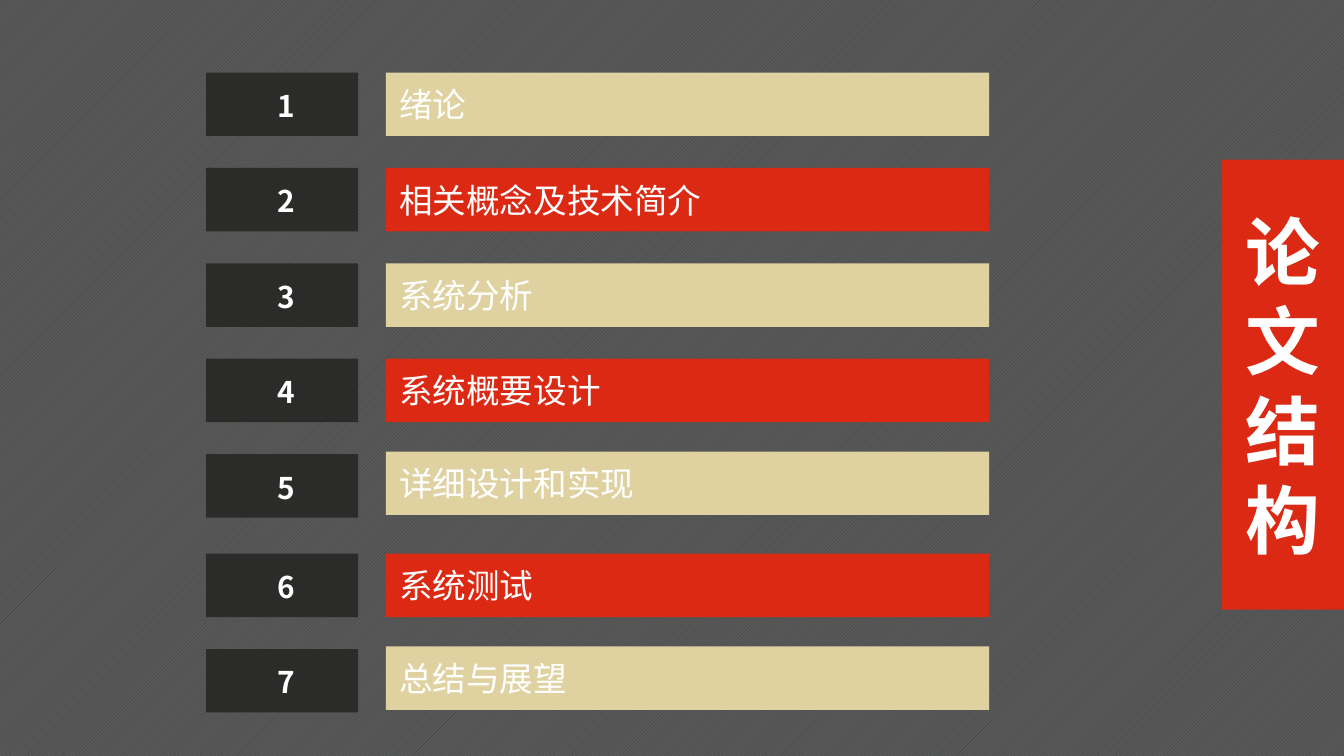
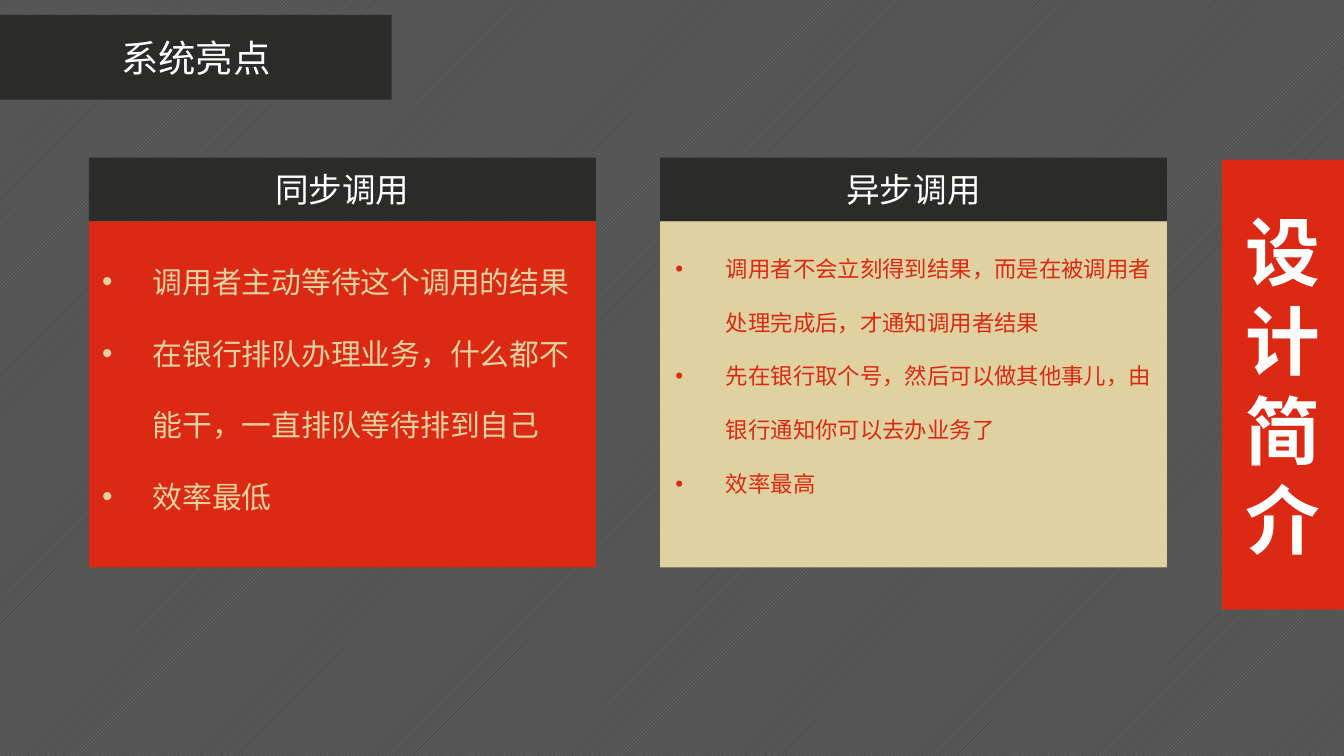
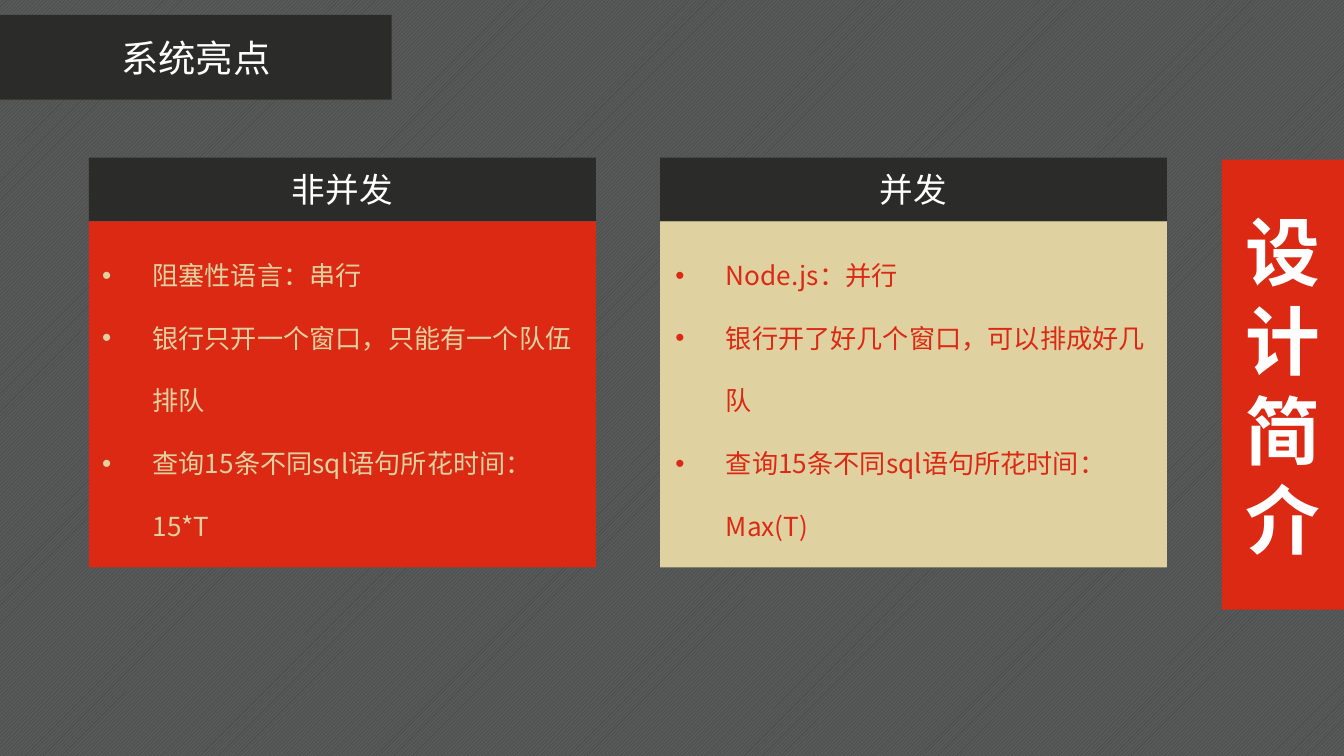
from dataclasses import dataclass

from lxml.etree import SubElement
from pptx import Presentation
from pptx.dml.color import RGBColor
from pptx.enum.dml import MSO_PATTERN
from pptx.enum.shapes import MSO_SHAPE
from pptx.enum.text import MSO_ANCHOR, MSO_AUTO_SIZE, PP_ALIGN
from pptx.oxml.ns import qn
from pptx.util import Pt

# Each chapter: title, upward shift of its bar against its number
CHAPTER_GROUPS = [
    [("绪论", 0), ("相关概念及技术简介", 0), ("系统分析", 0),
     ("系统概要设计", 0), ("详细设计和实现", 1.4)],
    [("系统测试", 0), ("总结与展望", 1.4)],
]
OUTLINE_TITLE = ["论", "文", "结", "构"]

DESIGN_TITLE = ["设计简介"]
HIGHLIGHTS = "系统亮点"
COMPARISONS = [
    [
        {"heading": "同步调用", "size": 16, "height": 162.7, "points": [
            "调用者主动等待这个调用的结果",
            "在银行排队办理业务，什么都不能干，一直排队等待排到自己",
            "效率最低"]},
        {"heading": "异步调用", "size": 12, "height": 152.6, "points": [
            "调用者不会立刻得到结果，而是在被调用者处理完成后，才通知调用者结果",
            "先在银行取个号，然后可以做其他事儿，由银行通知你可以去办业务了",
            "效率最高"]},
    ],
    [
        {"heading": "非并发", "size": 14, "height": 172, "points": [
            "阻塞性语言：串行",
            "银行只开一个窗口，只能有一个队伍排队",
            "查询15条不同sql语句所花时间：15*T"]},
        {"heading": "并发", "size": 14, "height": 172, "points": [
            "Node.js：并行",
            "银行开了好几个窗口，可以排成好几队",
            "查询15条不同sql语句所花时间：Max(T)"]},
    ],
]


@dataclass(frozen=True)
class Theme:
    font: str = "Noto Sans CJK SC"
    red: str = "DB2914"
    sand: str = "DFD2A0"
    dark: str = "2B2B29"
    white: str = "FFFFFF"
    hatch: str = "384340"
    ground: str = "595959"
    side_size: int = 40
    banner_size: int = 20
    label_size: int = 18
    number_size: int = 16


THEME = Theme()
WIDTH, HEIGHT = 720, 405
BOX_HEIGHT = 34
ROW_TOP, ROW_PITCH, GROUP_GAP = 38.9, 51.1, 2.2
NUMBER_LEFT, NUMBER_WIDTH = 110.4, 81.5
BAR_LEFT, BAR_WIDTH = 206.8, 323.2
CARD_LEFT, CARD_PITCH, CARD_WIDTH = 47.6, 306, 271.6
HEADING_TOP, BODY_TOP, BODY_HEIGHT = 84.4, 118.6, 185.4
BULLET_INDENT = 27


def add_bullet(paragraph):
    props = paragraph._p.get_or_add_pPr()
    props.set("marL", str(Pt(BULLET_INDENT)))
    props.set("indent", str(-Pt(BULLET_INDENT)))
    SubElement(props, qn("a:buFont"), typeface="Arial")
    SubElement(props, qn("a:buChar"), char="•")


def write(frame, lines, size, color, align=PP_ALIGN.LEFT, bold=False, bullets=False):
    frame.word_wrap = True
    for index, line in enumerate(lines):
        paragraph = frame.add_paragraph() if index else frame.paragraphs[0]
        paragraph.text = line
        paragraph.alignment = align
        if bullets:
            add_bullet(paragraph)
            paragraph.line_spacing = 2.0
        font = paragraph.font
        font.name, font.size, font.bold = THEME.font, Pt(size), bold
        font.color.rgb = RGBColor.from_string(color)
        defaults = paragraph._p.pPr.find(qn("a:defRPr"))
        SubElement(defaults, qn("a:ea"), typeface=THEME.font)


def add_box(slide, left, top, width, height, color):
    box = slide.shapes.add_shape(
        MSO_SHAPE.RECTANGLE, Pt(left), Pt(top), Pt(width), Pt(height))
    box.shadow.inherit = False
    box.fill.solid()
    box.fill.fore_color.rgb = RGBColor.from_string(color)
    box.line.fill.background()
    box.text_frame.vertical_anchor = MSO_ANCHOR.MIDDLE
    return box.text_frame


def add_label(slide, left, top, width, height):
    """Add a text box that grows with its text."""
    label = slide.shapes.add_textbox(Pt(left), Pt(top), Pt(width), Pt(height))
    label.text_frame.auto_size = MSO_AUTO_SIZE.SHAPE_TO_FIT_TEXT
    return label.text_frame


def add_slide(deck, side_title):
    """Add a slide with the hatched ground and the red title on the right."""
    slide = deck.slides.add_slide(deck.slide_layouts[6])
    ground = slide.background.fill
    ground.patterned()
    ground.pattern = MSO_PATTERN.DARK_UPWARD_DIAGONAL
    ground.fore_color.rgb = RGBColor.from_string(THEME.hatch)
    ground.back_color.rgb = RGBColor.from_string(THEME.ground)
    side = add_box(slide, 654.6, 85.6, WIDTH - 654.6, 241, THEME.red)
    write(side, side_title, THEME.side_size, THEME.white, PP_ALIGN.CENTER, bold=True)
    return slide


def add_outline(deck):
    slide = add_slide(deck, OUTLINE_TITLE)
    row = 0
    for group, chapters in enumerate(CHAPTER_GROUPS):
        for chapter, lift in chapters:
            top = ROW_TOP + row * ROW_PITCH + group * GROUP_GAP
            bar = add_box(slide, BAR_LEFT, top - lift, BAR_WIDTH, BOX_HEIGHT,
                          THEME.red if row % 2 else THEME.sand)
            write(bar, [chapter], THEME.label_size, THEME.white)
            add_box(slide, NUMBER_LEFT, top, NUMBER_WIDTH, BOX_HEIGHT, THEME.dark)
            number = add_label(slide, NUMBER_LEFT + 2, top + 4.6, NUMBER_WIDTH, 26.6)
            row += 1
            write(number, [str(row)], THEME.number_size, THEME.white,
                  PP_ALIGN.CENTER, bold=True)


def add_comparison(deck, cards):
    slide = add_slide(deck, DESIGN_TITLE)
    banner = add_box(slide, 0, 8, 209.8, 45.4, THEME.dark)
    write(banner, [HIGHLIGHTS], THEME.banner_size, THEME.white, PP_ALIGN.CENTER)
    colors = [(THEME.red, THEME.sand), (THEME.sand, THEME.red)]
    for column, (card, (fill, ink)) in enumerate(zip(cards, colors)):
        left = CARD_LEFT + column * CARD_PITCH
        add_box(slide, left, BODY_TOP, CARD_WIDTH, BODY_HEIGHT, fill)
        points = add_label(slide, left + column * 1.2, BODY_TOP, CARD_WIDTH - column,
                           card["height"])
        write(points, card["points"], card["size"], ink, bullets=True)
        heading = add_box(slide, left, HEADING_TOP, CARD_WIDTH, BOX_HEIGHT, THEME.dark)
        write(heading, [card["heading"]], THEME.label_size, THEME.white, PP_ALIGN.CENTER)


def main():
    deck = Presentation()
    deck.slide_width, deck.slide_height = Pt(WIDTH), Pt(HEIGHT)
    add_outline(deck)
    for cards in COMPARISONS:
        add_comparison(deck, cards)
    deck.save("out.pptx")


if __name__ == "__main__":
    main()
